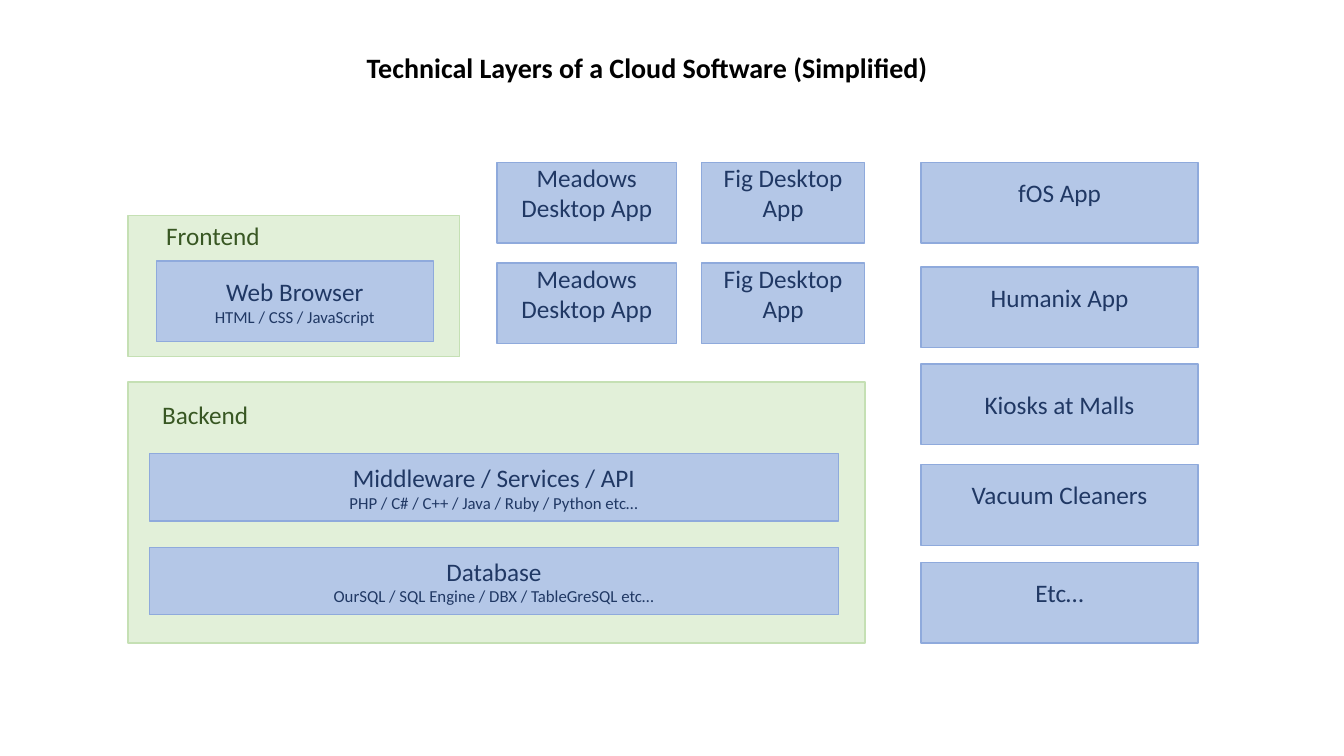
from pptx import Presentation
from pptx.dml.color import RGBColor
from pptx.enum.shapes import MSO_SHAPE
from pptx.enum.text import MSO_ANCHOR, MSO_AUTO_SIZE, PP_ALIGN
from pptx.util import Pt

BLACK = RGBColor(0x00, 0x00, 0x00)
NAVY = RGBColor(0x20, 0x38, 0x64)
BLUE = RGBColor(0xB4, 0xC7, 0xE7)
BLUE_LINE = RGBColor(0x8F, 0xAA, 0xDC)
FOREST = RGBColor(0x38, 0x57, 0x23)
GREEN = RGBColor(0xE2, 0xF0, 0xD9)
GREEN_LINE = RGBColor(0xC5, 0xE0, 0xB4)

BOX_H = 57.6
LAYER_H = 48.2
# Insets that lift a caption above the middle of its box
RAISED = {"margin_top": Pt(0), "margin_bottom": Pt(14.6)}


class LayerSlide:
    font = "Calibri"
    size = 18

    def __init__(self, prs):
        self.s = prs.slides.add_slide(prs.slide_layouts[6])

    def run(self, p, text, color, size=size, bold=False):
        r = p.add_run()
        r.text = text
        style = {"name": self.font, "size": Pt(size), "bold": bold}
        for name, value in style.items():
            setattr(r.font, name, value)
        r.font.color.rgb = color

    def rect(self, x, y, w, h, fill, line):
        sp = self.s.shapes.add_shape(
            MSO_SHAPE.RECTANGLE, Pt(x), Pt(y), Pt(w), Pt(h))
        sp.shadow.inherit = False
        sp.fill.solid()
        sp.fill.fore_color.rgb = fill
        sp.line.color.rgb = line
        sp.line.width = Pt(1)
        return sp

    def panel(self, x, y, w, h):
        self.rect(x, y, w, h, GREEN, GREEN_LINE)

    def box(self, x, y, w, h, name, detail=None, insets=None):
        tf = self.rect(x, y, w, h, BLUE, BLUE_LINE).text_frame
        frame = {"word_wrap": True, "vertical_anchor": MSO_ANCHOR.MIDDLE}
        for key, value in {**frame, **(insets or {})}.items():
            setattr(tf, key, value)
        p = tf.paragraphs[0]
        p.alignment = PP_ALIGN.CENTER
        self.run(p, name, NAVY)
        if detail:
            p.add_line_break()
            self.run(p, detail, NAVY, 12)

    def label(self, x, y, w, h, text, color, size=size, bold=False):
        tf = self.s.shapes.add_textbox(Pt(x), Pt(y), Pt(w), Pt(h)).text_frame
        tf.word_wrap = False
        tf.auto_size = MSO_AUTO_SIZE.SHAPE_TO_FIT_TEXT
        self.run(tf.paragraphs[0], text, color, size, bold)


def main():
    prs = Presentation()
    prs.slide_width, prs.slide_height = Pt(960), Pt(540)
    slide = LayerSlide(prs)

    slide.label(254.9, 32.4, 417.6, 31.5,
                "Technical Layers of a Cloud Software (Simplified)",
                BLACK, 20, True)

    slide.panel(91.5, 154.1, 236.9, 100.8)
    slide.label(111.6, 154.1, 82, 29, "Frontend", FOREST)
    slide.box(111.6, 186.5, 198, BOX_H, "Web Browser",
              "HTML / CSS / JavaScript")

    slide.panel(91.5, 272.9, 526.3, 186.5)
    slide.label(108.7, 281.5, 77, 29, "Backend", FOREST)
    layers = [
        ("Middleware / Services / API",
         "PHP / C# / C++ / Java / Ruby / Python etc…"),
        ("Database", "OurSQL / SQL Engine / DBX / TableGreSQL etc…"),
    ]
    for i, (name, detail) in enumerate(layers):
        slide.box(106.6, 324 + 67 * i, 492.5, LAYER_H, name, detail)

    desktop_apps = [(355, 128.2, "Meadows Desktop App"),
                    (501.1, 116.6, "Fig Desktop App")]
    for y in (116, 188):
        for x, w, name in desktop_apps:
            slide.box(x, y, w, BOX_H, name, insets=RAISED)

    clients = [(115.9, "fOS App", RAISED), (190.8, "Humanix App", RAISED),
               (260, "Kiosks at Malls", None),
               (332, "Vacuum Cleaners", RAISED), (401.8, "Etc…", RAISED)]
    for y, name, insets in clients:
        slide.box(657.8, y, 198, BOX_H, name, insets=insets)

    prs.save("out.pptx")


if __name__ == "__main__":
    main()
